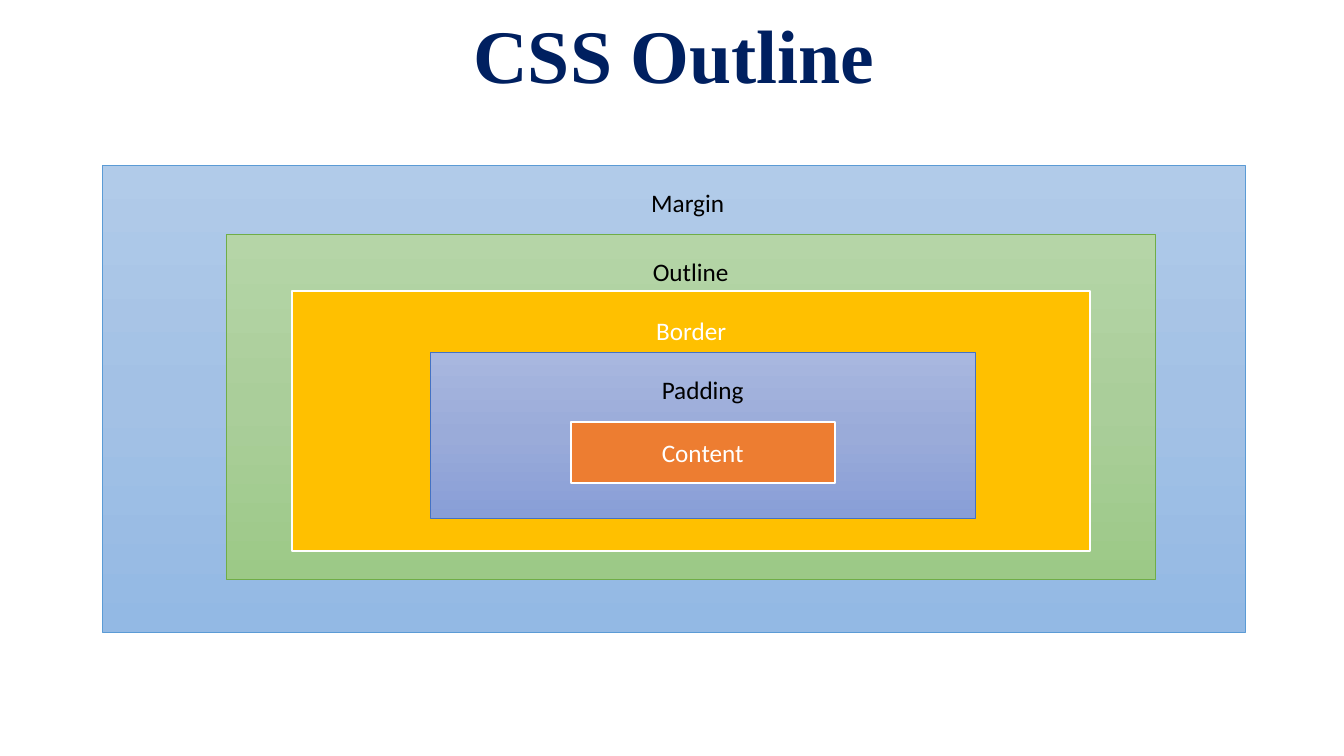
import copy
from dataclasses import dataclass

import pptx
import pptx.dml.color
import pptx.enum.shapes
import pptx.enum.text
import pptx.oxml.ns
import pptx.util

Inches = pptx.util.Inches
Pt = pptx.util.Pt
ANCHOR = pptx.enum.text.MSO_ANCHOR
LABEL_HEIGHT = 0.31


@dataclass
class Layer:
    label: str
    box: tuple[float, float, float, float]
    fill: tuple[str, ...]  # one colour is solid, several form a gradient
    line: str
    width: float
    color: str
    top: float  # inset above the label
    left: float = 0.1


LAYERS = [
    Layer("Margin", (1.02, 1.64, 11.33, 4.63), ("B1CBE9", "A3C1E5", "93B9E4"),
          "5B9BD5", 0.5, "000000", 0.22, 0.37),
    Layer("Outline", (2.24, 2.33, 9.22, 3.42), ("B5D5A7", "AACE9A", "9CC987"),
          "70AD47", 0.5, "000000", 0.21),
    Layer("Border", (2.9, 2.89, 7.91, 2.58), ("FFC000",),
          "FFFFFF", 1.5, "FFFFFF", 0.24),
    Layer("Padding", (4.27, 3.5, 5.4, 1.64), ("A8B7DF", "9AABD9", "889ED7"),
          "4472C4", 0.5, "000000", 0.21),
    Layer("Content", (5.66, 4.19, 2.62, 0.6), ("ED7D31",),
          "FFFFFF", 1.5, "FFFFFF", 0.15),
]


def rgb(value: str) -> pptx.dml.color.RGBColor:
    return pptx.dml.color.RGBColor.from_string(value)


def write(tf, text: str, *, font: str, size: float, color: str,
          bold: bool = False, spacing: float = 1.0, anchor=ANCHOR.TOP) -> None:
    tf.word_wrap = True
    tf.auto_size = pptx.enum.text.MSO_AUTO_SIZE.NONE
    tf.vertical_anchor = anchor
    p = tf.paragraphs[0]
    p.alignment = pptx.enum.text.PP_ALIGN.CENTER
    p.line_spacing = spacing
    r = p.add_run()
    r.text = text
    r.font.name, r.font.size, r.font.bold = font, Pt(size), bold
    r.font.color.rgb = rgb(color)


def paint(sp, colors: tuple[str, ...]) -> None:
    if len(colors) == 1:
        sp.fill.solid()
        sp.fill.fore_color.rgb = rgb(colors[0])
        return
    sp.fill.gradient()
    sp.fill.gradient_angle = 270  # top to bottom
    # The new gradient has two stops: add the middle one
    stops = next(sp.element.iter(pptx.oxml.ns.qn("a:gsLst")))
    stops.insert(1, copy.deepcopy(stops[0]))
    for i, (stop, color) in enumerate(zip(sp.fill.gradient_stops, colors)):
        stop.position = i / (len(colors) - 1)
        stop.color.rgb = rgb(color)


def draw_layer(shapes, layer: Layer) -> None:
    sp = shapes.add_shape(pptx.enum.shapes.MSO_SHAPE.RECTANGLE,
                          *(Inches(v) for v in layer.box))
    sp.shadow.inherit = False
    paint(sp, layer.fill)
    sp.line.color.rgb = rgb(layer.line)
    sp.line.width = Pt(layer.width)
    # Keep the text area above the next layer
    tf = sp.text_frame
    tf.margin_top, tf.margin_left = Inches(layer.top), Inches(layer.left)
    tf.margin_bottom = Inches(layer.box[3] - layer.top - LABEL_HEIGHT)
    write(tf, layer.label, font="Calibri", size=18, color=layer.color)


def main() -> None:
    prs = pptx.Presentation()
    prs.slide_width, prs.slide_height = Inches(13.33), Inches(7.5)
    s = prs.slides.add_slide(prs.slide_layouts[0])

    # Title, without the subtitle
    subtitle = s.placeholders[1].element
    subtitle.getparent().remove(subtitle)
    title = s.shapes.title
    title.left, title.top = Inches(0.34), Inches(0.22)
    title.width, title.height = Inches(12.69), Inches(0.82)
    write(title.text_frame, "CSS Outline", font="Times New Roman", size=54,
          color="002060", bold=True, spacing=0.9, anchor=ANCHOR.BOTTOM)

    # Nested boxes, from the outside in
    group = s.shapes.add_group_shape()
    for layer in LAYERS:
        draw_layer(group.shapes, layer)

    prs.save("out.pptx")


if __name__ == "__main__":
    main()
